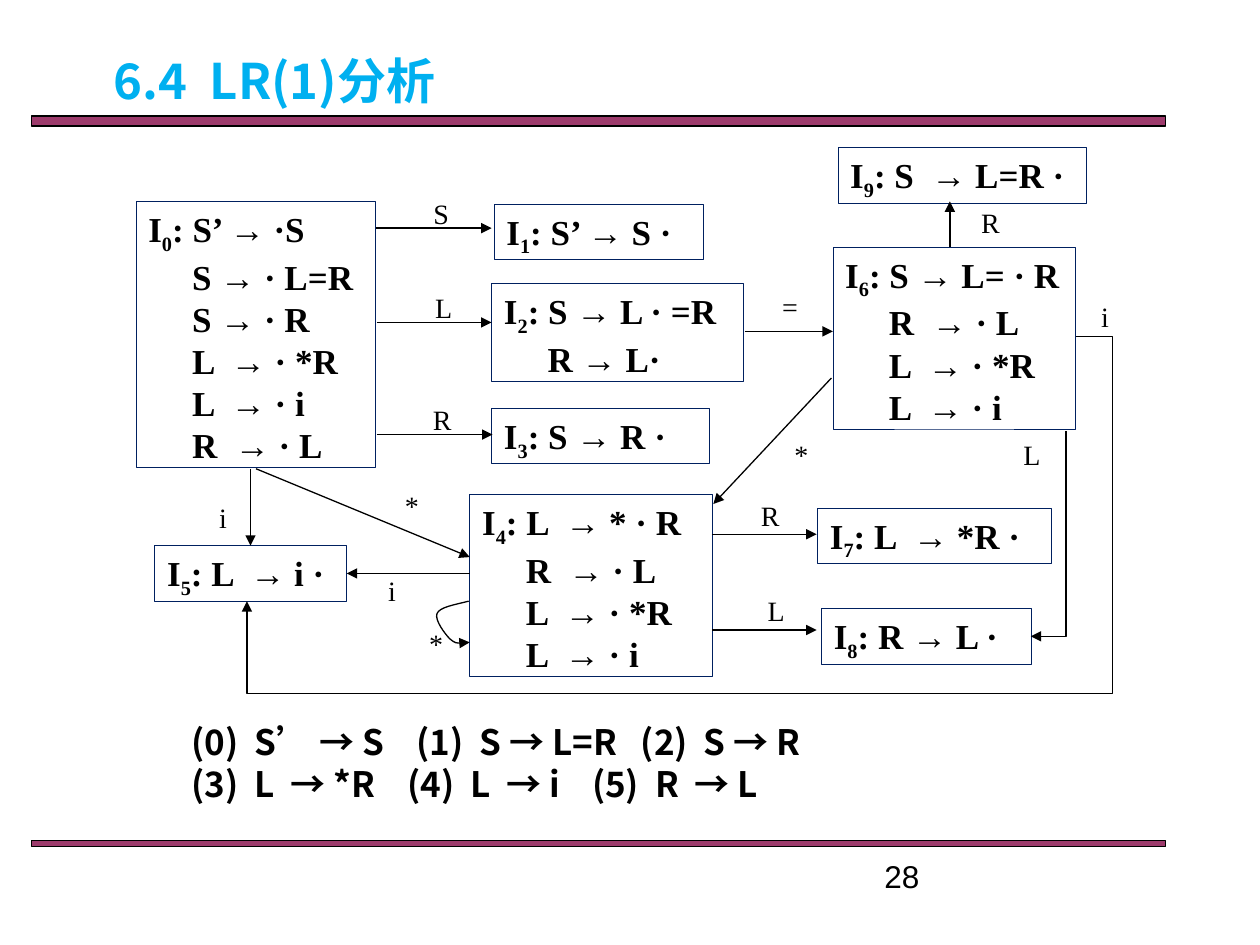
import pptx
import pptx.util
import pptx.dml.color
import pptx.enum.shapes
import pptx.enum.text
import pptx.oxml
import pptx.oxml.ns
from lxml import etree

Cm, Pt = pptx.util.Cm, pptx.util.Pt
qn = pptx.oxml.ns.qn
SHAPE = pptx.enum.shapes.MSO_SHAPE
CONNECTOR = pptx.enum.shapes.MSO_CONNECTOR
ALIGN = pptx.enum.text.PP_ALIGN
ANCHOR = pptx.enum.text.MSO_ANCHOR


def color(value):
    return pptx.dml.color.RGBColor.from_string(value)


class Diagram:
    serif, sans, plain = "Times New Roman", "Noto Sans CJK SC", "Arial"
    ink, accent, border, bar_fill = "000000", "00B0F0", "002060", "993366"

    def __init__(self, slide):
        self.slide = slide
        self.shapes = slide.shapes

    def format(self, paragraph, face, size, bold=False, ink=ink, align=ALIGN.LEFT):
        paragraph.alignment = align
        font = paragraph.font
        font.name, font.size, font.bold = face, Pt(size), bold
        font.color.rgb = color(ink)
        defaults = paragraph._p.pPr.find(qn("a:defRPr"))
        etree.SubElement(defaults, qn("a:ea")).set("typeface", face)

    def place(self, shape, left, top, width, height):
        shape.left, shape.top = Cm(left), Cm(top)
        shape.width, shape.height = Cm(width), Cm(height)

    def stroke(self, shape, ink=ink, width=0.75, arrow=None):
        shape.line.color.rgb = color(ink)
        shape.line.width = Pt(width)
        if arrow:
            end = etree.SubElement(shape.line._get_or_add_ln(), qn("a:" + arrow))
            end.set("type", "triangle")

    def bar(self, top, height):
        bar = self.shapes.add_shape(SHAPE.RECTANGLE, Cm(0.64), Cm(top), Cm(22.86), Cm(height))
        bar.shadow.inherit = False
        bar.fill.solid()
        bar.fill.fore_color.rgb = color(self.bar_fill)
        tint = bar._element.spPr.find(".//" + qn("a:srgbClr"))
        etree.SubElement(tint, qn("a:alpha")).set("val", "96000")
        self.stroke(bar)

    def title(self, text, *place):
        title = self.shapes.title
        self.place(title, *place)
        title.text_frame.text = text
        title.text_frame.vertical_anchor = ANCHOR.BOTTOM
        self.format(title.text_frame.paragraphs[0], self.sans, 28, True, self.accent, ALIGN.CENTER)

    def productions(self, lines, *place):
        body = self.slide.placeholders[1]
        self.place(body, *place)
        frame = body.text_frame
        frame.text = "\n".join(lines)
        frame.auto_size = pptx.enum.text.MSO_AUTO_SIZE.NONE
        for paragraph in frame.paragraphs:
            paragraph.space_before = Pt(0)
            properties = paragraph._p.get_or_add_pPr()
            properties.set("marL", "0")
            properties.set("indent", "0")
            etree.SubElement(properties, qn("a:buNone"))
            self.format(paragraph, self.sans, 20, True)

    def text(self, text, left, top, width, height, face=serif, size=16, align=ALIGN.CENTER):
        frame = self.shapes.add_textbox(Cm(left), Cm(top), Cm(width), Cm(height)).text_frame
        frame.word_wrap = True
        frame.text = text
        self.format(frame.paragraphs[0], face, size, align=align)

    def state(self, number, left, top, width, items):
        height = 1.12 + 0.85 * (len(items) - 1)
        state = self.shapes.add_shape(SHAPE.RECTANGLE, Cm(left), Cm(top), Cm(width), Cm(height))
        state.shadow.inherit = False
        state.fill.background()
        self.stroke(state, self.border, 0.25)
        frame = state.text_frame
        frame.word_wrap = True
        frame.margin_right = 0
        frame.vertical_anchor = ANCHOR.TOP
        for index, item in enumerate(items):
            paragraph = frame.paragraphs[0] if index == 0 else frame.add_paragraph()
            if index == 0:
                paragraph.add_run().text = "I"
                subscript = paragraph.add_run()
                subscript.text = str(number)
                subscript._r.get_or_add_rPr().set("baseline", "-25000")
                item = ": " + item
            else:
                paragraph._p.get_or_add_pPr().set("marL", str(Pt(25)))
            paragraph.add_run().text = item
            self.format(paragraph, self.serif, 20, True)

    def arrow(self, x1, y1, x2, y2, kind=CONNECTOR.STRAIGHT, arrow="tailEnd"):
        arrow_line = self.shapes.add_connector(kind, Cm(x1), Cm(y1), Cm(x2), Cm(y2))
        self.stroke(arrow_line, arrow=arrow)
        etree.SubElement(arrow_line._element.spPr, qn("a:effectLst"))
        return arrow_line

    def elbow(self, ends, preset, arrow, adjustments=()):
        geometry = self.arrow(*ends, CONNECTOR.ELBOW, arrow)._element.spPr.find(qn("a:prstGeom"))
        geometry.set("prst", preset)
        guides = geometry.find(qn("a:avLst"))
        for index, value in enumerate(adjustments, 1):
            guide = etree.SubElement(guides, qn("a:gd"))
            guide.set("name", f"adj{index}")
            guide.set("fmla", f"val {value}")

    def loop(self, start, controls):
        builder = self.shapes.build_freeform(Cm(start[0]), Cm(start[1]))
        builder.add_line_segments([(Cm(x), Cm(y)) for x, y in controls], close=False)
        loop = builder.convert_to_shape()
        loop.shadow.inherit = False
        loop.fill.background()
        self.stroke(loop, arrow="tailEnd")
        outline = loop._element.spPr.find(".//" + qn("a:path"))
        segments = outline.findall(qn("a:lnTo"))
        for first in range(0, len(segments), 3):
            curve = etree.SubElement(outline, qn("a:cubicBezTo"))
            for segment in segments[first:first + 3]:
                curve.append(segment[0])
                outline.remove(segment)


STATES = [
    (0, 2.74, 4.06, 4.83, ["S’ → ·S", "S → · L=R", "S → · R", "L  → · *R", "L  → · i", "R  → · L"]),
    (6, 16.79, 4.98, 4.88, ["S → L= · R", "R  → · L", "L  → · *R", "L  → · i"]),
    (1, 9.96, 4.11, 4.22, ["S’ → S ·"]),
    (2, 9.91, 5.72, 5.08, ["S → L · =R", "R → L·"]),
    (3, 9.91, 8.23, 4.39, ["S → R ·"]),
    (4, 9.47, 9.96, 4.88, ["L  → * · R", "R  → · L", "L  → · *R", "L  → · i"]),
    (5, 3.12, 11, 3.86, ["L  → i ·"]),
    (7, 16.48, 10.24, 4.72, ["L  → *R ·"]),
    (8, 16.56, 12.27, 4.24, ["R → L ·"]),
    (9, 16.89, 2.97, 5, ["S  → L=R ·"]),
]
TRANSITIONS = [
    (7.57, 4.6, 9.91, 4.6), (7.59, 6.5, 9.91, 6.5), (7.59, 8.76, 9.93, 8.76),
    (5.16, 9.45, 9.47, 11.23), (5.05, 9.45, 5.05, 11), (9.47, 11.56, 6.99, 11.56),
    (14.35, 10.77, 16.46, 10.77), (14.35, 12.7, 16.46, 12.7), (15.01, 6.68, 16.79, 6.68),
    (19.15, 4.98, 19.15, 4.06), (16.76, 7.62, 14.38, 10.16),
]
SYMBOLS = [
    ("S", 8.36, 3.84), ("L", 8.41, 5.74), ("R", 8.38, 8), ("*", 7.77, 9.73),
    ("R", 14.99, 9.93), ("R", 19.43, 4.01), ("i", 3.96, 9.96), ("i", 7.37, 11.43),
    ("L", 15.11, 11.84), ("=", 15.39, 5.72), ("i", 21.74, 5.92), ("*", 15.62, 8.69),
    ("L", 20.27, 8.69), ("*", 8.26, 12.5),
]
LOOP = [
    (9.17, 12.19), (8.86, 12.24), (8.81, 12.37), (8.76, 12.5), (8.97, 12.78),
    (9.07, 12.88), (9.19, 12.98), (9.32, 12.98), (9.47, 12.95),
]


def main():
    deck = pptx.Presentation()
    deck.slide_width, deck.slide_height = Cm(25.4), Cm(19.05)
    diagram = Diagram(deck.slides.add_slide(deck.slide_layouts[1]))
    diagram.bar(2.34, 0.2)
    diagram.bar(16.94, 0.13)
    diagram.title("6.4  LR(1)分析", 0.43, 0.64, 10.21, 1.7)
    diagram.text("28", 17.58, 17.15, 5.92, 0.69, Diagram.plain, 18, ALIGN.LEFT)
    diagram.productions(
        ["(0)  S’ → S    (1)  S → L=R   (2)  S → R", "(3)  L  → *R    (4)  L  → i    (5)  R  → L"],
        3.61, 14.4, 17.15, 1.96)
    for state in STATES:
        diagram.state(*state)
    for transition in TRANSITIONS:
        diagram.arrow(*transition)
    diagram.elbow((21.69, 6.78, 4.98, 12.12), "bentConnector4", "tailEnd", (-4400, 134800))
    diagram.elbow((20.78, 12.83, 21.49, 8.69), "bentConnector2", "headEnd")
    diagram.loop((9.45, 12.12), LOOP)
    for symbol, left, top in SYMBOLS:
        diagram.text(symbol, left, top, 1.07, 0.94)
    deck.save("out.pptx")


if __name__ == "__main__":
    main()
